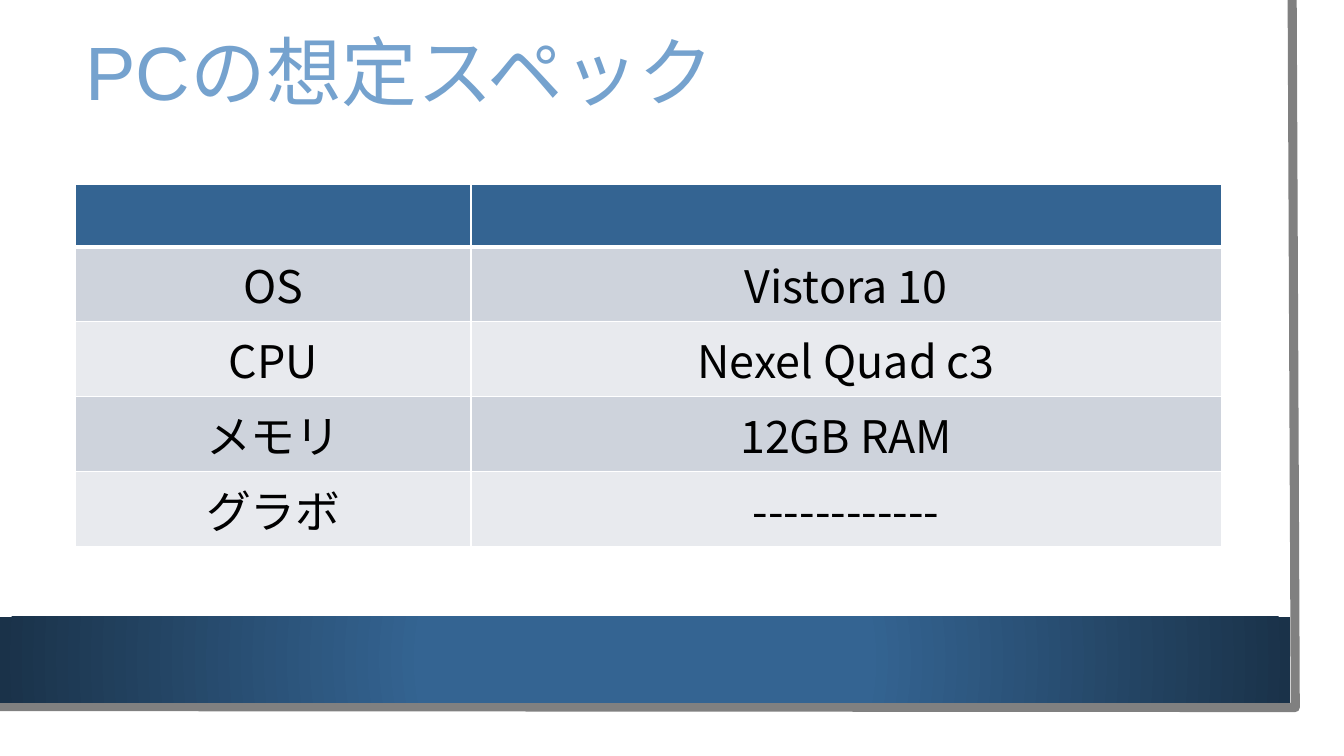
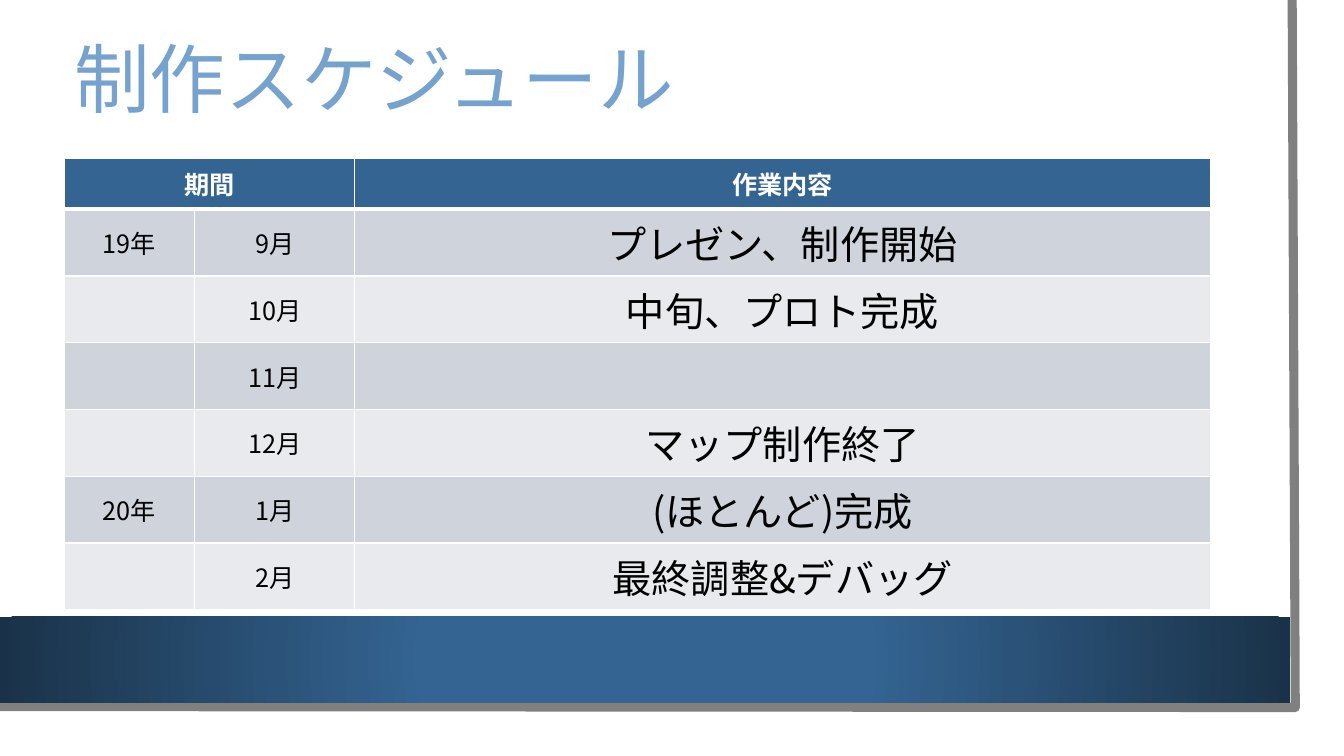
from pptx import Presentation
from pptx.dml.color import RGBColor
from pptx.enum import shapes, text
from pptx.oxml import parse_xml
from pptx.oxml.ns import nsdecls
from pptx.util import Pt

THEME = {
    "colour": {
        "title": "75A2CE", "header": "346492", "edge": "1A3249",
        "frame": "808080", "bands": ("CED3DC", "E8EAEE"),
        "rule": "FFFFFF", "header_text": "FFFFFF", "body": "000000",
    },
    "size": {"title": 54, "spec": 32, "label": 18, "task": 28},
    "font": {"latin": "Arial", "title": "Roboto Condensed", "body": "Noto Sans CJK JP"},
    "rule": {"normal": 1, "header": 3, "frame": 6.5},
}
COLOUR, SIZE, FONT, RULE = (THEME[part] for part in ("colour", "size", "font", "rule"))
FRAME = [(923, 0), (925.2, 505.4), (-2.2, 504.7)]
BAND = (0, 440.6, 921.6, 61.4)

SLIDES = [
    {
        "title": [("PCの", FONT["latin"]), ("想定スペック", FONT["title"])],
        "title_box": (54, 15, 818.5, 78.5),
        "table_at": (54, 132),
        "columns": (282.5, 536),
        "heights": (44.3, 53.6),
        "sizes": (SIZE["spec"], SIZE["spec"]),
        "anchor": text.MSO_ANCHOR.TOP,
        "merged": [],
        "rows": [
            ("", ""),
            ("OS", "Vistora 10"),
            ("CPU", "Nexel Quad c3"),
            ("メモリ", "12GB RAM"),
            ("グラボ", "------------"),
        ],
    },
    {
        "title": [("制作スケジュール", FONT["title"])],
        "title_box": (46, 24, 818.5, 70),
        "table_at": (46, 113),
        "columns": (93, 114.5, 611),
        "heights": (36.5, 47.7),
        "sizes": (SIZE["label"], SIZE["label"], SIZE["task"]),
        "anchor": text.MSO_ANCHOR.MIDDLE,
        "merged": [((0, 0), (0, 1))],
        "rows": [
            ("期間", "", "作業内容"),
            ("19年", "9月", "プレゼン、制作開始"),
            ("", "10月", "中旬、プロト完成"),
            ("", "11月", ""),
            ("", "12月", "マップ制作終了"),
            ("20年", "1月", "(ほとんど)完成"),
            ("", "2月", "最終調整&デバッグ"),
        ],
    },
]


def rgb(code):
    return RGBColor.from_string(code)


def points(values):
    return [Pt(value) for value in values]


def write(paragraph, words, colour, **formats):
    run = paragraph.add_run()
    run.text = words
    for key, value in formats.items():
        setattr(run.font, key, value)
    run.font.color.rgb = rgb(colour)
    run.font._element.append(
        parse_xml(f'<a:ea {nsdecls("a")} typeface="{FONT["body"]}"/>'))


def add_backdrop(slide):
    start, *corners = [points(corner) for corner in FRAME]
    builder = slide.shapes.build_freeform(*start)
    builder.add_line_segments(corners, close=False)
    frame = builder.convert_to_shape()
    frame.shadow.inherit = False
    frame.fill.background()
    frame.line.color.rgb = rgb(COLOUR["frame"])
    frame.line.width = Pt(RULE["frame"])

    band = slide.shapes.add_shape(shapes.MSO_SHAPE.RECTANGLE, *points(BAND))
    band.shadow.inherit = False
    band.line.fill.background()
    band.fill.gradient()
    stops = [(0.34, COLOUR["header"]), (1, COLOUR["edge"])]
    for stop, (position, colour) in zip(band.fill.gradient_stops, stops):
        stop.position = position
        stop.color.rgb = rgb(colour)
    linear = band._element.spPr.find(".//{*}lin")
    linear.getparent().replace(linear, parse_xml(
        f'<a:path {nsdecls("a")} path="circle">'
        '<a:fillToRect l="50000" t="50000" r="50000" b="50000"/></a:path>'))


def add_title(slide, content):
    frame = slide.shapes.add_textbox(*points(content["title_box"])).text_frame
    for key, value in {"word_wrap": True, "vertical_anchor": text.MSO_ANCHOR.MIDDLE}.items():
        setattr(frame, key, value)
    heading = frame.paragraphs[0]
    heading.line_spacing = 0.9
    for words, font in content["title"]:
        write(heading, words, COLOUR["title"], name=font, size=Pt(SIZE["title"]))


def add_borders(cell, bottom):
    widths = {side: RULE["normal"] for side in "LRT"} | {"B": bottom}
    for side, width in widths.items():
        cell._tc.get_or_add_tcPr().append(parse_xml(
            f'<a:ln{side} {nsdecls("a")} w="{Pt(width)}"><a:solidFill>'
            f'<a:srgbClr val="{COLOUR["rule"]}"/></a:solidFill></a:ln{side}>'))


def add_grid(slide, content):
    rows, columns = content["rows"], content["columns"]
    header_height, row_height = content["heights"]
    heights = [header_height] + [row_height] * (len(rows) - 1)
    grid = slide.shapes.add_table(
        len(rows), len(columns),
        *points((*content["table_at"], sum(columns), sum(heights)))).table
    grid.first_row = grid.horz_banding = False
    for column, width in zip(grid.columns, columns):
        column.width = Pt(width)
    for row, height in zip(grid.rows, heights):
        row.height = Pt(height)
    for first, last in content["merged"]:
        grid.cell(*first).merge(grid.cell(*last))

    for r, row in enumerate(rows):
        header = r == 0
        fill = COLOUR["header"] if header else COLOUR["bands"][(r - 1) % 2]
        ink = COLOUR["header_text" if header else "body"]
        for c, words in enumerate(row):
            cell = grid.cell(r, c)
            add_borders(cell, RULE["header" if header else "normal"])
            cell.fill.solid()
            cell.fill.fore_color.rgb = rgb(fill)
            cell.vertical_anchor = content["anchor"]
            if words:
                line = cell.text_frame.paragraphs[0]
                line.alignment = text.PP_ALIGN.CENTER
                size = SIZE["label"] if header else content["sizes"][c]
                write(line, words, ink, name=FONT["body"], size=Pt(size), bold=header)


def main():
    deck = Presentation()
    deck.slide_width, deck.slide_height = points((960, 540))
    for content in SLIDES:
        slide = deck.slides.add_slide(deck.slide_layouts[6])
        add_backdrop(slide)
        add_title(slide, content)
        add_grid(slide, content)
    deck.save("out.pptx")


if __name__ == "__main__":
    main()
